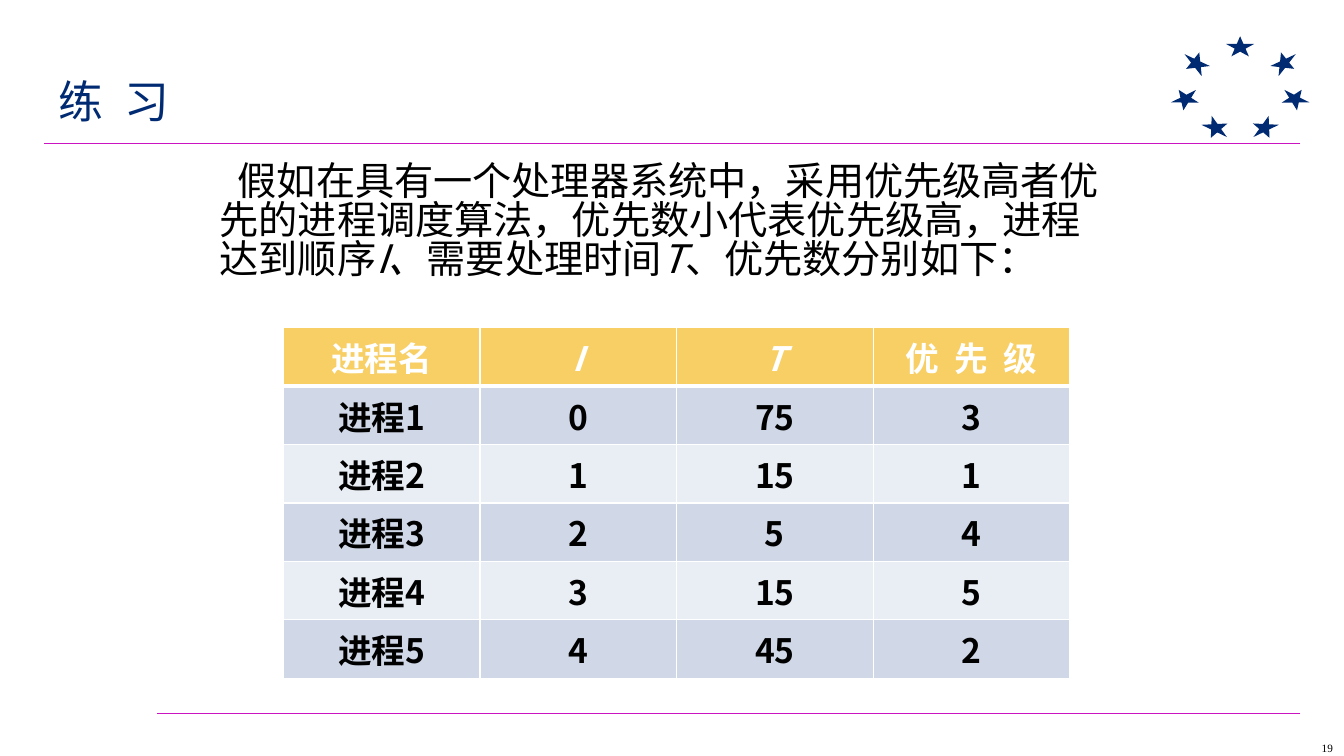
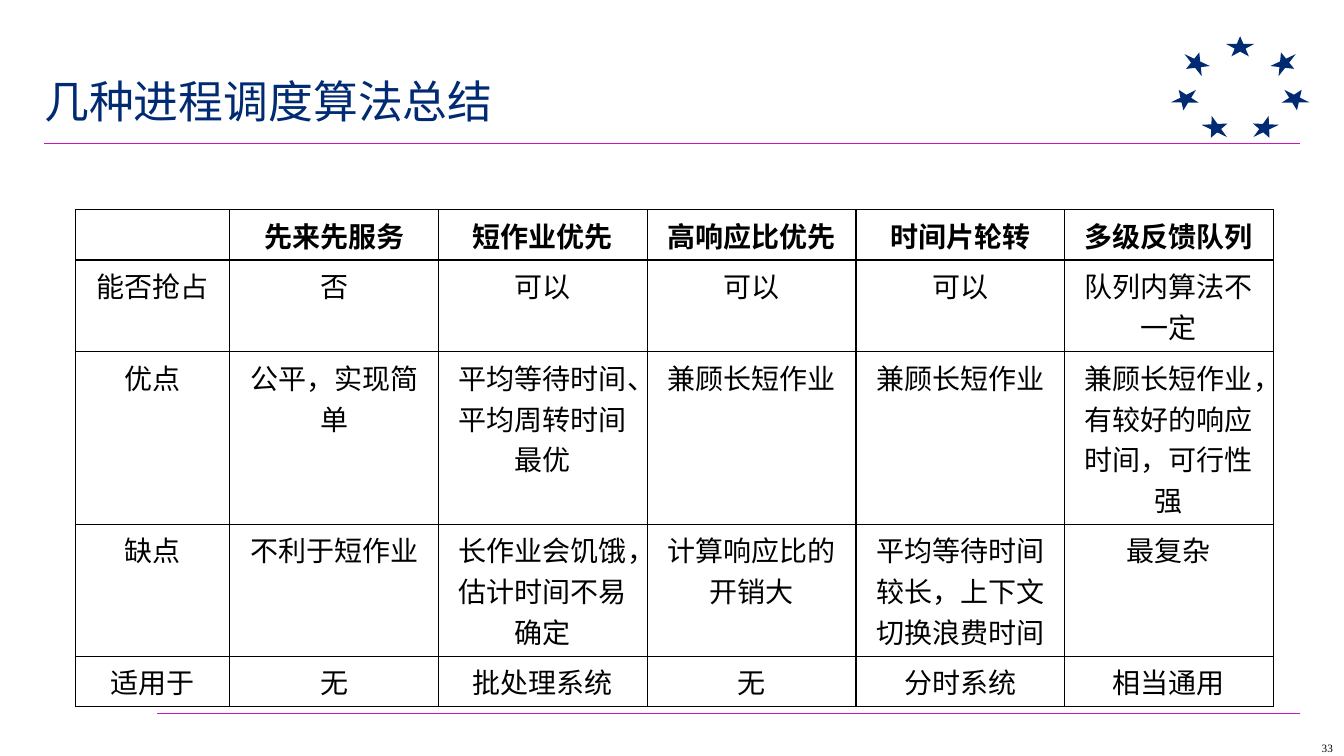
from math import cos, radians, sin

from lxml import etree
from pptx import Presentation
from pptx.dml.color import RGBColor
from pptx.enum import shapes, text
from pptx.oxml.ns import qn
from pptx.util import Inches, Pt

THEME = {
    "navy": "002B73", "pink": "CA14C1", "black": "000000", "white": "FFFFFF",
    "gold": "F7CF65", "bands": ("D0D8E8", "E9EDF4"),
    "sans": "Noto Sans CJK SC", "serif": "Times New Roman", "arial": "Arial",
    "title": 32, "body": 28, "grid": 24, "dense": 20, "page": 8,
}

TASK = [
    ("假如在具有一个处理器系统中，采用优先级高者优先的进程调度算法，"
     "优先数小代表优先级高，进程达到顺序", False),
    ("I、", True), ("需要处理时间", False), ("T", True),
    ("、优先数分别如下：", False),
]

JOBS = [
    ("进程名", "I", "T", "优 先 级"),
    ("进程1", "0", "75", "3"),
    ("进程2", "1", "15", "1"),
    ("进程3", "2", "5", "4"),
    ("进程4", "3", "15", "5"),
    ("进程5", "4", "45", "2"),
]

RULES = [
    ("", "先来先服务", "短作业优先", "高响应比优先", "时间片轮转", "多级反馈队列"),
    ("能否抢占", "否", "可以", "可以", "可以", "队列内算法不一定"),
    ("优点", "公平，实现简单", "平均等待时间、平均周转时间最优", "兼顾长短作业",
     "兼顾长短作业", "兼顾长短作业，有较好的响应时间，可行性强"),
    ("缺点", "不利于短作业", "长作业会饥饿，估计时间不易确定", "计算响应比的开销大",
     "平均等待时间较长，上下文切换浪费时间", "最复杂"),
    ("适用于", "无", "批处理系统", "无", "分时系统", "相当通用"),
]


def rgb(name):
    return RGBColor.from_string(THEME.get(name, name))


def write(para, words, face, size, color="black", track=0, **form):
    """Add a run; track is extra letter spacing in points."""
    run = para.add_run()
    run.text = words
    form.update(name=THEME[face], size=Pt(THEME[size]))
    for key, value in form.items():
        setattr(run.font, key, value)
    run.font.color.rgb = rgb(color)
    props = run.font._element
    if track:
        props.set("spc", str(int(track * 100)))
    etree.SubElement(props, qn("a:ea"), typeface=THEME["sans"])


def add_box(slide, left, top, width, height, pad=True):
    """Add a wrapping text box and return its frame."""
    frame = slide.shapes.add_textbox(*map(Inches, (left, top, width, height))).text_frame
    frame.word_wrap = True
    if not pad:
        for side in ("left", "top", "right", "bottom"):
            setattr(frame, "margin_" + side, 0)
    return frame


def add_ring(slide):
    """Seven stars, evenly turned around an ellipse."""
    for n in range(7):
        turn = n * 360 / 7
        x = 12.3 + 0.57 * sin(radians(turn))
        y = 0.89 - 0.43 * cos(radians(turn))
        wide, high = (0.21, 0.27) if n in (1, 2, 5, 6) else (0.28, 0.2)
        star = slide.shapes.add_shape(
            shapes.MSO_SHAPE.STAR_5_POINT,
            *map(Inches, (x - wide / 2, y - high / 2, wide, high)))
        star.rotation = turn
        star.shadow.inherit = False
        star.fill.solid()
        star.fill.fore_color.rgb = rgb("navy")
        star.line.fill.background()


def add_slide(deck, title, page, left=0.44, track=0):
    slide = deck.slides.add_slide(deck.slide_layouts[6])
    add_ring(slide)
    for start, y in ((0.44, 1.42), (1.56, 7.08)):
        rule = slide.shapes.add_connector(
            shapes.MSO_CONNECTOR.STRAIGHT, *map(Inches, (start, y, 12.89, y)))
        rule.line.color.rgb = rgb("pink")
        rule.line.width = Pt(0.75)
        etree.SubElement(rule._element.spPr, qn("a:effectLst"))
    head = add_box(slide, left, 0.83, 12.44, 0.42, pad=False)
    head.vertical_anchor = text.MSO_ANCHOR.MIDDLE
    head.paragraphs[0].line_spacing = 0.85
    write(head.paragraphs[0], title, "serif", "title", "navy", track)
    foot = add_box(slide, 13, 7.35, 0.33, 0.13, pad=False)
    foot.paragraphs[0].alignment = text.PP_ALIGN.CENTER
    write(foot.paragraphs[0], str(page), "serif", "page")
    return slide


def edge(cell, color, heavy=""):
    """Draw the four borders; sides named in heavy are 3 pt, the rest 1 pt."""
    props = cell._tc.get_or_add_tcPr()
    for side in "LRTB":
        line = etree.SubElement(props, qn("a:ln" + side),
                                w=str(Pt(3 if side in heavy else 1)))
        fill = etree.SubElement(line, qn("a:solidFill"))
        etree.SubElement(fill, qn("a:srgbClr"), val=THEME[color])


def add_grid(slide, rows, left, top, cols, heights):
    """Add a table; yield row number, cell, words and paragraph."""
    table = slide.shapes.add_table(
        len(rows), len(cols),
        *map(Inches, (left, top, sum(cols), sum(heights)))).table
    for col, width in zip(table.columns, cols):
        col.width = Inches(width)
    for row, height in zip(table.rows, heights):
        row.height = Inches(height)
    for r, row in enumerate(rows):
        for c, words in enumerate(row):
            cell = table.cell(r, c)
            para = cell.text_frame.paragraphs[0]
            para.alignment = text.PP_ALIGN.CENTER
            yield r, cell, words, para


def add_task(deck):
    slide = add_slide(deck, "练 习", 19, left=0.58, track=4)
    grid = add_grid(slide, JOBS, 2.81, 3.25, [1.95] * 4, [0.58] * 6)
    for r, cell, words, para in grid:
        edge(cell, "white", {0: "B", 1: "T"}.get(r, ""))
        cell.fill.solid()
        cell.fill.fore_color.rgb = rgb(THEME["bands"][(r - 1) % 2] if r else "gold")
        write(para, words, "sans", "grid", "black" if r else "white",
              track=2.7 if " " in words else 0,
              bold=True, italic=words in ("I", "T"))
    para = add_box(slide, 2.08, 1.58, 9.07, 1.51).paragraphs[0]
    para.line_spacing = 0.83
    para._p.get_or_add_pPr().set("indent", str(Inches(0.18)))
    for words, slant in TASK:
        write(para, words, "sans", "body", italic=slant)


def add_summary(deck):
    slide = add_slide(deck, "几种进程调度算法总结", 33)
    grid = add_grid(slide, RULES, 0.75, 2.08, [1.53] + [2.07] * 5,
                    [0.5, 0.91, 1.71, 1.31, 0.5])
    for r, cell, words, para in grid:
        edge(cell, "black")
        cell.fill.background()
        if words:
            write(para, words, "arial", "dense", bold=r == 0)


def main():
    deck = Presentation()
    deck.slide_width, deck.slide_height = Inches(13.33), Inches(7.5)
    add_task(deck)
    add_summary(deck)
    deck.save("out.pptx")


if __name__ == "__main__":
    main()
